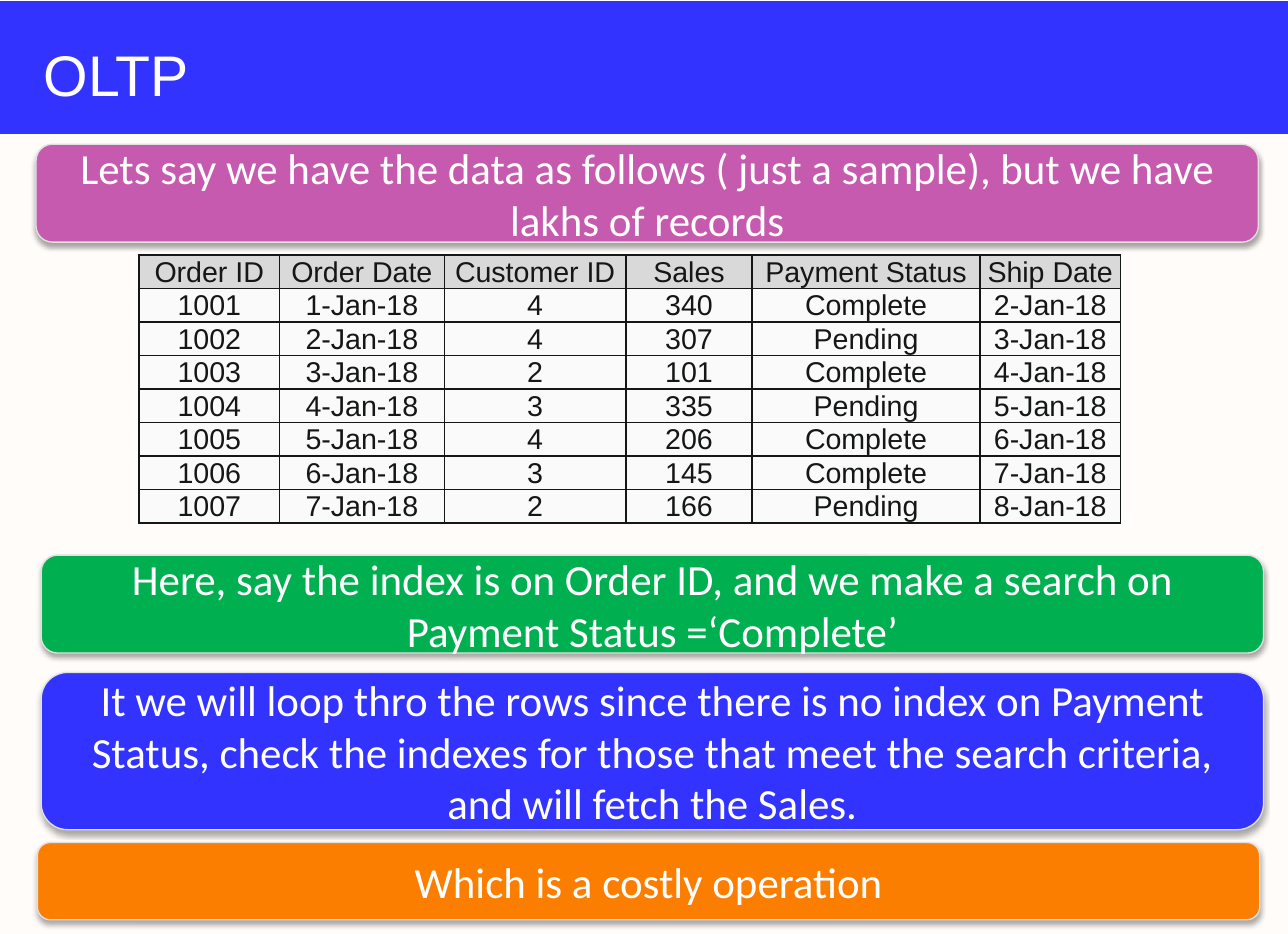
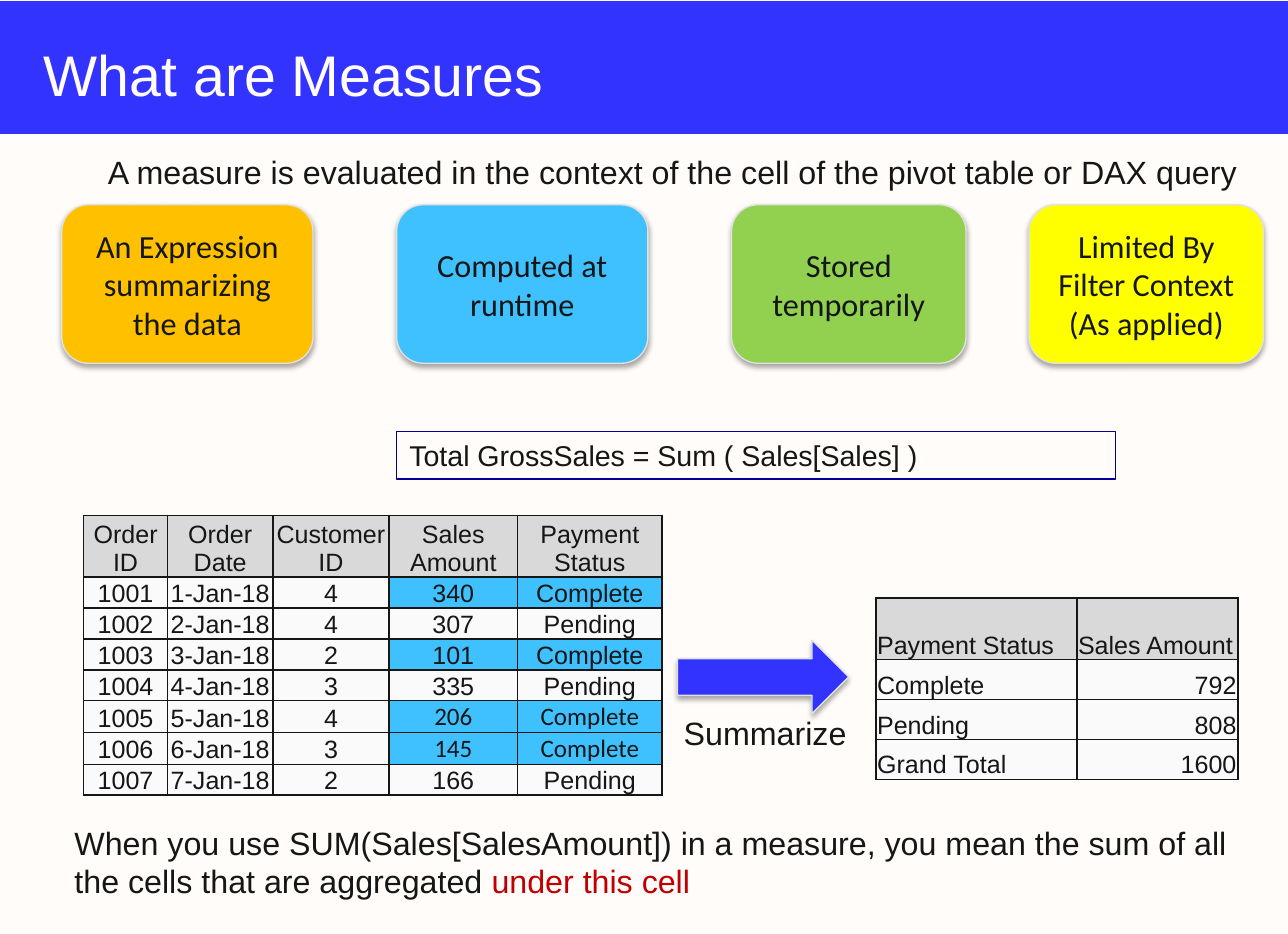
from dataclasses import dataclass

from lxml import etree
from pptx import Presentation
from pptx.dml.color import RGBColor
from pptx.enum.shapes import MSO_SHAPE as SHAPE
from pptx.enum.text import MSO_ANCHOR as ANCHOR, MSO_AUTO_SIZE as AUTO_SIZE, PP_ALIGN as ALIGN
from pptx.oxml import parse_xml
from pptx.oxml.ns import nsdecls, qn
from pptx.util import Inches, Pt


@dataclass(frozen=True)
class Theme:
    paper: str = "FFFCF9"
    white: str = "FFFFFF"
    ink: str = "151616"
    blue: str = "3333FF"
    navy: str = "000099"
    pink: str = "C65AAF"
    green: str = "00B050"
    orange: str = "FC7E00"
    amber: str = "FFC000"
    sky: str = "3FC1FF"
    lime: str = "92D050"
    yellow: str = "FFFF00"
    red: str = "C00000"
    edge: str = "E1E1E1"
    header: str = "D9D9D9"
    cell: str = "FAFAFA"
    title: int = 32
    callout: int = 24
    body: int = 18
    code: int = 16
    small: int = 14
    sans: str = "Arial"
    rounded: str = "Calibri"


T = Theme()
rgb = RGBColor.from_string


def write(tf, text, size=T.body, color=T.ink, font=T.sans, align=ALIGN.LEFT,
          anchor=ANCHOR.TOP, indent=0):
    """Append a formatted run to the first paragraph of the frame."""
    tf.word_wrap = True
    tf.vertical_anchor = anchor
    p = tf.paragraphs[0]
    p.alignment = align
    if indent:
        p._p.get_or_add_pPr().set("marL", str(Inches(indent)))
    r = p.add_run()
    r.text = text
    r.font.name, r.font.size, r.font.color.rgb = font, Pt(size), rgb(color)


def add_grid(slide, left, top, widths, header_height, row_height, rows):
    """Add a bordered table with a grey header; return its table object."""
    heights = [header_height] + [row_height] * (len(rows) - 1)
    frame = slide.shapes.add_table(len(rows), len(widths), Inches(left), Inches(top),
                                   Inches(sum(widths)), Inches(sum(heights)))
    table = frame.table
    table.first_row = table.horz_banding = False
    for column, width in zip(table.columns, widths):
        column.width = Inches(width)
    for row, height in zip(table.rows, heights):
        row.height = Inches(height)
    for i, row in enumerate(table.rows):
        for cell in row.cells:
            cell.margin_left = cell.margin_right = cell.margin_top = Inches(0.01)
            cell.margin_bottom = 0
            cell.vertical_anchor = ANCHOR.BOTTOM
            cell.fill.solid()
            cell.fill.fore_color.rgb = rgb(T.cell if i else T.header)
            tcPr = cell._tc.get_or_add_tcPr()
            for k, side in enumerate("LRTB"):
                tcPr.insert(k, parse_xml(
                    f'<a:ln{side} {nsdecls("a")} w="{Pt(1)}"><a:solidFill>'
                    f'<a:srgbClr val="{T.ink}"/></a:solidFill></a:ln{side}>'))
    return table


prs = Presentation()
prs.slide_width, prs.slide_height = Inches(10), Inches(7.25)

# Shared background, band and titles
master = prs.slide_master
master.background.fill.solid()
master.background.fill.fore_color.rgb = rgb(T.paper)

slides = []
for title, color in (("OLTP", T.white), ("What are Measures", T.paper)):
    s = prs.slides.add_slide(prs.slide_layouts[5])
    sp = s.shapes.title
    sp.left, sp.top, sp.width, sp.height = map(Inches, (0.24, 0.27, 9.57, 0.6))
    write(sp.text_frame, title, size=T.title, color=color, anchor=ANCHOR.MIDDLE)
    sp.text_frame.auto_size = AUTO_SIZE.NONE
    slides.append(s)
oltp, measures = slides

band = oltp.shapes.add_shape(SHAPE.RECTANGLE, 0, Inches(0.01), Inches(10), Inches(1.03))
band.shadow.inherit = False
band.fill.solid()
band.fill.fore_color.rgb = rgb(T.blue)
band.line.fill.background()
master.shapes[0]._element.addprevious(band._element)

# Order tables
customers = (4, 4, 2, 3, 4, 3, 2)
sales = (340, 307, 101, 335, 206, 145, 166)
statuses = ("Complete", "Pending", "Complete", "Pending", "Complete", "Complete", "Pending")
orders = [(1000 + day, f"{day}-Jan-18", customer, amount, status, f"{day + 1}-Jan-18")
          for day, (customer, amount, status) in enumerate(zip(customers, sales, statuses), 1)]

rows = [("Order ID", "Order Date", "Customer ID", "Sales", "Payment Status", "Ship Date"), *orders]
table = add_grid(oltp, 1.08, 1.98, (1.09, 1.28, 1.41, 0.98, 1.77, 1.09), 0.26, 0.26, rows)
for i, row in enumerate(rows):
    for j, value in enumerate(row):
        write(table.cell(i, j).text_frame, str(value), size=T.code, align=ALIGN.CENTER,
              anchor=ANCHOR.BOTTOM)

rows = [("Order ID", "Order Date", "Customer ID", "Sales Amount", "Payment Status"),
        *(order[:5] for order in orders)]
table = add_grid(measures, 0.65, 4, (0.65, 0.82, 0.9, 1, 1.12), 0.48, 0.24, rows)
for i, row in enumerate(rows):
    for j, value in enumerate(row):
        cell = table.cell(i, j)
        summed = row[4] == "Complete" and j >= 3
        if summed:
            cell.fill.fore_color.rgb = rgb(T.sky)
        write(cell.text_frame, str(value), size=T.small, align=ALIGN.CENTER,
              anchor=ANCHOR.BOTTOM, font=T.rounded if summed and i >= 5 else T.sans)

totals = {status: sum(order[3] for order in orders if order[4] == status)
          for status in ("Complete", "Pending")}
rows = [("Payment Status", "Sales Amount"), *totals.items(), ("Grand Total", sum(sales))]
table = add_grid(measures, 6.8, 4.64, (1.56, 1.25), 0.48, 0.31, rows)
for i, row in enumerate(rows):
    for j, value in enumerate(row):
        write(table.cell(i, j).text_frame, str(value), size=T.small, anchor=ANCHOR.BOTTOM,
              align=ALIGN.RIGHT if i and j else ALIGN.LEFT)

# Shadowed callouts, cards and arrow
callouts = (
    (0.28, 1.12, 0.76, T.pink,
     "Lets say we have the data as follows ( just a sample), but we have lakhs of records"),
    (0.32, 4.31, 0.76, T.green,
     "Here, say the index is on Order ID, and we make a search on Payment Status =‘Complete’"),
    (0.32, 5.22, 1.22, T.blue,
     "It we will loop thro the rows since there is no index on Payment Status, check the "
     "indexes for those that meet the search criteria, and will fetch the Sales."),
    (0.29, 6.54, 0.6, T.orange, "Which is a costly operation"),
)
cards = (
    (0.48, 1.95, T.amber, "An Expression summarizing the data"),
    (3.08, 1.95, T.sky, "Computed at runtime"),
    (5.68, 1.82, T.lime, "Stored temporarily"),
    (7.99, 1.82, T.yellow, "Limited By Filter Context (As applied)"),
)
raised = [(oltp, SHAPE.ROUNDED_RECTANGLE, (left, top, 9.49, height), fill, text,
           T.callout, T.white) for left, top, height, fill, text in callouts]
raised += [(measures, SHAPE.ROUNDED_RECTANGLE, (left, 1.59, width, 1.23), fill, text,
            T.body, T.ink) for left, width, fill, text in cards]
raised.append((measures, SHAPE.RIGHT_ARROW, (5.26, 4.97, 1.33, 0.57), T.blue, "", T.body, T.ink))

for s, kind, box, fill, text, size, color in raised:
    sp = s.shapes.add_shape(kind, *map(Inches, box))
    sp.fill.solid()
    sp.fill.fore_color.rgb = rgb(fill)
    sp.line.color.rgb = rgb(T.edge)
    sp.line.width = Pt(0.75)
    sp.shadow.inherit = False
    shadow = etree.SubElement(sp._element.spPr.find(qn("a:effectLst")), qn("a:outerShdw"),
                              blurRad=str(Pt(3.1)), dist=str(Pt(1.8)), dir="5400000",
                              rotWithShape="0")
    black = etree.SubElement(shadow, qn("a:srgbClr"), val="000000")
    etree.SubElement(black, qn("a:alpha"), val="35000")
    if text:
        write(sp.text_frame, text, size=size, color=color, font=T.rounded,
              align=ALIGN.CENTER, anchor=ANCHOR.MIDDLE)

# Plain text on the measures slide
notes = (
    ((0.24, 1.13, 9.57, 0.4), T.body, 0.5,
     "A measure is evaluated in the context of the cell of the pivot table or DAX query"),
    ((5.21, 5.49, 1.49, 0.4), T.body, 0, "Summarize"),
    ((0.48, 6.34, 9.33, 0.71), T.body, 0,
     "When you use SUM(Sales[SalesAmount]) in a measure, you mean the sum of all the cells "
     "that are aggregated "),
    ((3.08, 3.35, 5.58, 0.37), T.code, 0, "Total GrossSales = Sum ( Sales[Sales] )"),
)
boxes = []
for box, size, indent, text in notes:
    sp = measures.shapes.add_textbox(*map(Inches, box))
    write(sp.text_frame, text, size=size, indent=indent)
    boxes.append(sp)
intro, arrow_label, conclusion, formula = boxes
write(conclusion.text_frame, "under this cell", color=T.red)
formula.line.color.rgb = rgb(T.navy)
formula.line.width = Pt(0.75)

prs.save("out.pptx")
